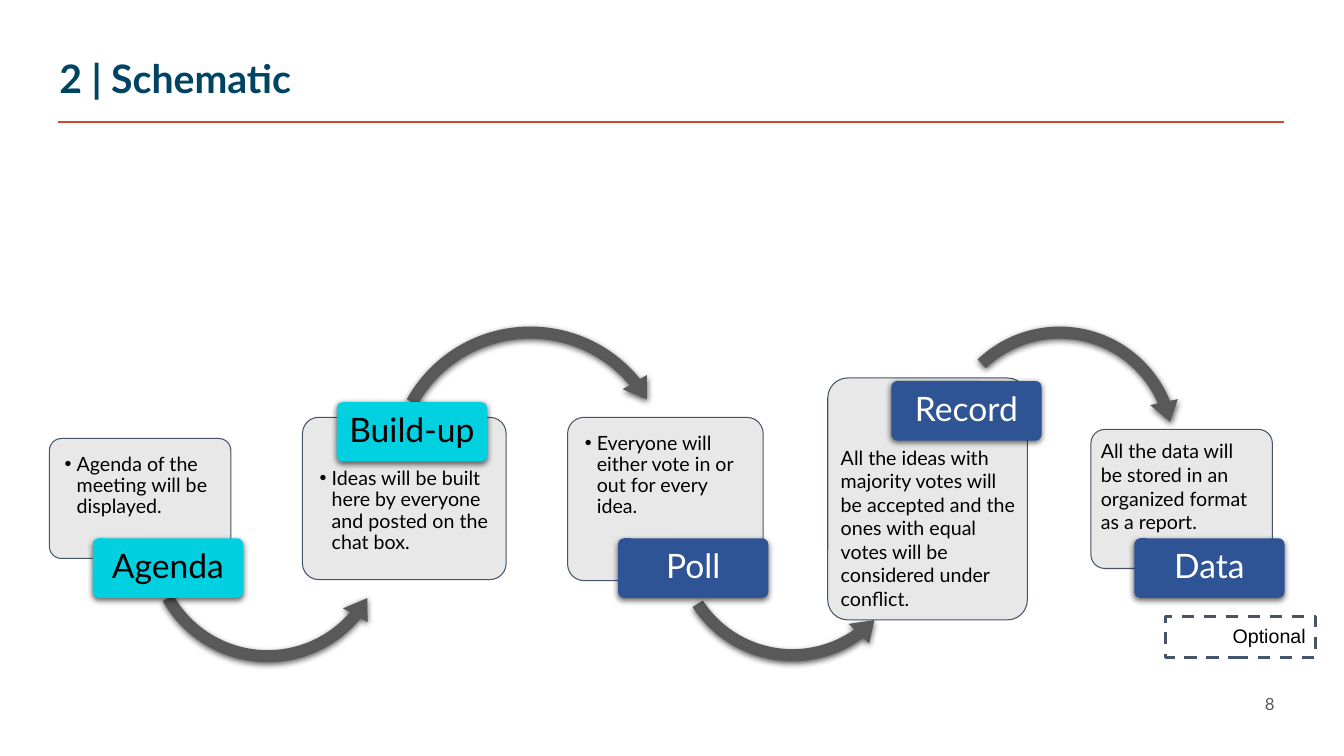
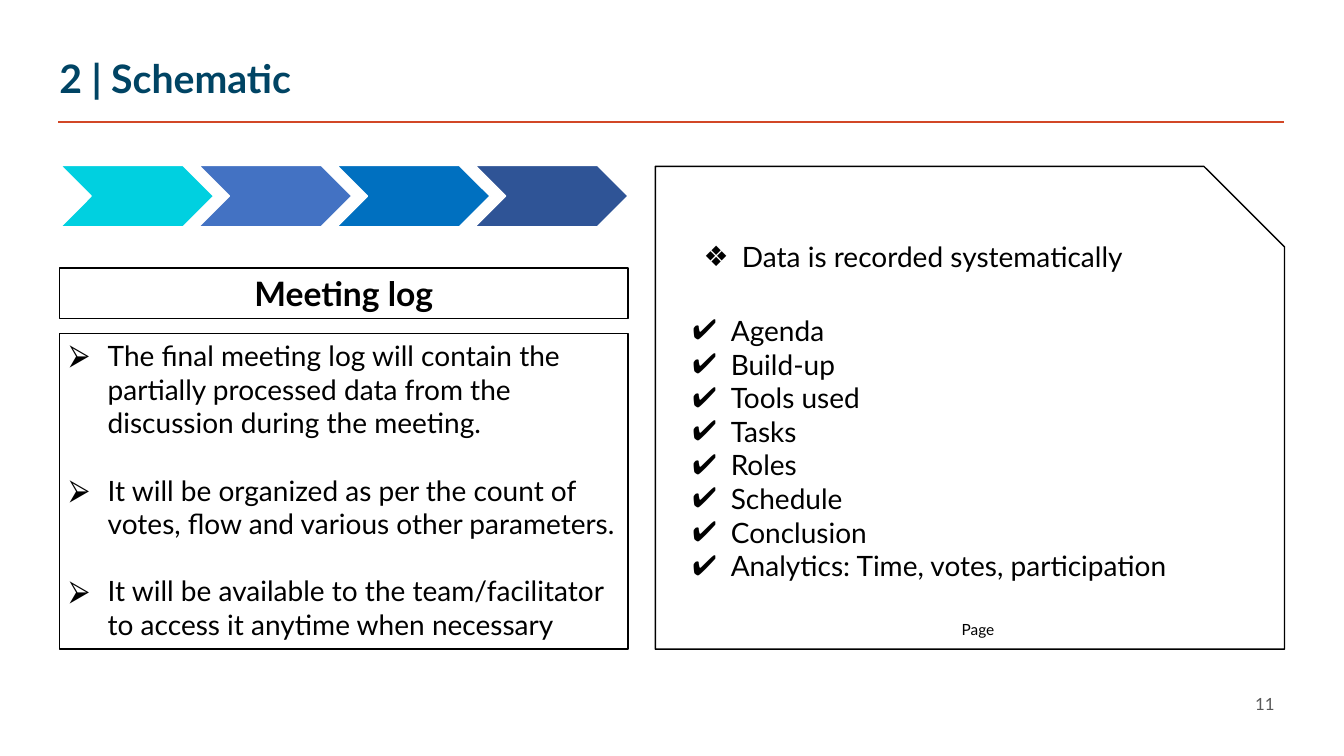
from dataclasses import dataclass

from lxml.etree import SubElement
from pptx import Presentation
from pptx.dml.color import RGBColor
from pptx.enum.dml import MSO_LINE
from pptx.enum.shapes import MSO_CONNECTOR, MSO_SHAPE
from pptx.enum.text import MSO_ANCHOR, PP_ALIGN
from pptx.oxml.ns import qn
from pptx.util import Inches, Pt


@dataclass(frozen=True)
class Theme:
    """Hold the colours, fonts and type sizes of the deck."""
    font: str = "Lato"
    plain: str = "Arial"
    ink: str = "000000"
    paper: str = "FFFFFF"
    title: str = "004464"
    rule: str = "D24726"
    muted: str = "595959"
    card: str = "E7E6E6"
    edge: str = "44546A"
    cyan: str = "00D0E0"
    sky: str = "4372C3"
    blue: str = "0070C0"
    navy: str = "2F5496"
    head: int = 28
    label: int = 24
    body: int = 20
    note: int = 14
    foot: int = 12
    small: int = 11


T = Theme()
LEFT, CENTER, RIGHT = PP_ALIGN.LEFT, PP_ALIGN.CENTER, PP_ALIGN.RIGHT
TOP, MID, LOW = MSO_ANCHOR.TOP, MSO_ANCHOR.MIDDLE, MSO_ANCHOR.BOTTOM
OVER, UNDER = MSO_SHAPE.CIRCULAR_ARROW, MSO_SHAPE.LEFT_CIRCULAR_ARROW


def rgb(code):
    """Turn a hex code into a colour."""
    return RGBColor.from_string(code)


def paint(shape, fill=None, line=None, width=1):
    """Set fill and line and drop the shadow."""
    shape.shadow.inherit = False
    if fill:
        shape.fill.solid()
        shape.fill.fore_color.rgb = rgb(fill)
    else:
        shape.fill.background()
    if line:
        shape.line.color.rgb = rgb(line)
        shape.line.width = Pt(width)
    else:
        shape.line.fill.background()


def form(slide, kind, box, fill=None, line=None, width=1, adj=()):
    """Add a preset shape."""
    shape = slide.shapes.add_shape(kind, *map(Inches, box))
    paint(shape, fill, line, width)
    for rank, value in enumerate(adj):
        shape.adjustments[rank] = value
    return shape


def shade(shape):
    """Cast a soft shadow below a shape."""
    effects = shape.element.spPr.find(qn("a:effectLst"))
    outer = SubElement(effects, qn("a:outerShdw"), blurRad=str(Pt(4.5)),
                       dist=str(Pt(1.5)), dir="5400000", rotWithShape="0")
    color = SubElement(outer, qn("a:srgbClr"), val=T.ink)
    SubElement(color, qn("a:alpha"), val="63000")


def mark(para, sign, indent):
    """Give a paragraph a hanging bullet."""
    props = para._p.get_or_add_pPr()
    props.set("marL", str(Inches(indent)))
    props.set("indent", str(-Inches(indent)))
    SubElement(SubElement(props, qn("a:buClr")), qn("a:srgbClr"), val=T.ink)
    SubElement(props, qn("a:buFont"), typeface=T.plain)
    SubElement(props, qn("a:buChar"), char=sign)


def write(shape, lines, size, color=T.ink, bold=False, align=LEFT, anchor=TOP,
          pad=(0.1, 0.05), lead=None, gap=0, bullet=None, font=T.font):
    """Fill a shape with styled paragraphs."""
    frame = shape.text_frame
    frame.word_wrap = True
    frame.vertical_anchor = anchor
    frame.margin_left = frame.margin_right = Inches(pad[0])
    frame.margin_top = frame.margin_bottom = Inches(pad[1])
    frame.text = "\n".join(lines)
    for rank, para in enumerate(frame.paragraphs):
        if bullet:
            mark(para, *bullet)
        para.alignment = align
        if lead:
            para.line_spacing = lead
        if rank and gap:
            para.space_before = Pt(gap)
        for run in para.runs:
            run.font.name = font
            run.font.size = Pt(size)
            run.font.bold = bold
            run.font.color.rgb = rgb(color)


def label(slide, box, *args, **style):
    """Add a text box."""
    write(slide.shapes.add_textbox(*map(Inches, box)), *args, **style)


def start(deck, title, page):
    """Add a slide with title, rule and page number."""
    slide = deck.slides.add_slide(deck.slide_layouts[6])
    ends = map(Inches, (0.58, 1.21, 12.74, 1.21))
    rule = slide.shapes.add_connector(MSO_CONNECTOR.STRAIGHT, *ends)
    rule.line.color.rgb = rgb(T.rule)
    rule.line.width = Pt(2)
    SubElement(rule.element.spPr, qn("a:effectLst"))
    label(slide, (0.49, 0.45, 10, 0.7), [title], T.head, T.title,
          bold=True, anchor=MID, lead=0.9)
    label(slide, (12.26, 6.78, 0.48, 0.4), [page], T.foot, T.muted,
          align=RIGHT, anchor=MID)
    return slide


def arrow(slide, kind, x, y, size, first, last, head, turn=0):
    """Add an arc arrow whose angles run clockwise from the right."""
    band, wing = 0.12 / size, 0.14 / size
    angles = [0.6 * angle for angle in (head, (last - turn) % 360, (first - turn) % 360)]
    shape = form(slide, kind, (x, y, size, size), T.muted, adj=(band, *angles, wing))
    shape.rotation = turn
    shade(shape)


def card(slide, box):
    """Add a slightly clear rounded card."""
    shape = form(slide, MSO_SHAPE.ROUNDED_RECTANGLE, box, T.card, T.edge, 0.75, [0.1])
    color = shape.element.spPr.find(qn("a:solidFill")).find(qn("a:srgbClr"))
    SubElement(color, qn("a:alpha"), val="90000")


def tag(slide, x, y, name, fill, color):
    """Add the name plate of a step."""
    shape = form(slide, MSO_SHAPE.ROUNDED_RECTANGLE, (x, y, 1.49, 0.59), fill, adj=[0.1])
    shade(shape)
    write(shape, [name], T.label, color, align=CENTER, anchor=MID,
          pad=(0.05, 0.03), lead=0.9)


def flow(deck):
    """Build the slide with the five steps."""
    slide = start(deck, "2 | Schematic", "8")
    dot = dict(pad=(0.13, 0.13), lead=0.9, bullet=("•", 0.12))
    cyan, navy = (T.cyan, T.ink), (T.navy, T.paper)
    steps = [
        ("Agenda", "Agenda of the meeting will be displayed.",
         (0.49, 4.35, 1.8, 1.19), (0.51, 4.38, 1.75, 0.88), dot,
         (UNDER, 1.38, 4.1, 2.55, 150.5, 40, 10.5), (0.92, 5.34), cyan),
        ("Build-up", "Ideas will be built here by everyone and posted on the chat box.",
         (3, 4.14, 2.02, 1.61), (3.04, 4.52, 1.95, 1.19), dot,
         (OVER, 3.78, 3.16, 2.96, 209, 320.7, 9), (3.34, 3.99), cyan),
        ("Poll", "Everyone will either vote in or out for every idea.",
         (5.63, 4.14, 1.94, 1.62), (5.67, 4.17, 1.87, 1.2), dot,
         (UNDER, 6.6, 4.12, 2.52, 147, 54, 10.5, 13.7), (6.13, 5.34), navy),
        ("Record", "All the ideas with majority votes will be accepted and the ones "
         "with equal votes will be considered under conflict.",
         (8.21, 3.75, 1.98, 2.4), (8.24, 4.37, 1.99, 1.75), {},
         (OVER, 9.25, 3.16, 2.52, 226.4, 337.4, 10.5, 11.4), (8.84, 3.78), navy),
        ("Data", "All the data will be stored in an organized format as a report.",
         (10.82, 4.26, 1.8, 1.38), (10.82, 4.31, 1.76, 1.04), {},
         None, (11.25, 5.34), navy),
    ]
    for name, text, box, area, style, arc, place, tone in steps:
        card(slide, box)
        label(slide, area, [text], T.note, **style)
        if arc:
            arrow(slide, *arc)
        tag(slide, *place, name, *tone)
    extra = form(slide, MSO_SHAPE.RECTANGLE, (11.56, 6.12, 1.49, 0.4),
                 line=T.edge, width=2.25)
    extra.line.dash_style = MSO_LINE.DASH
    write(extra, ["Optional"], T.note, align=RIGHT, anchor=LOW,
          pad=(0.1, 0.1), font=T.plain)


def log(deck):
    """Build the slide on the meeting log."""
    slide = start(deck, "2 | Schematic", "11")
    form(slide, MSO_SHAPE.SNIP_1_RECTANGLE, (6.5, 1.65, 6.24, 4.79),
         T.paper, T.ink, adj=[0.167])
    for rank, fill in enumerate((T.cyan, T.sky, T.blue, T.navy)):
        form(slide, MSO_SHAPE.CHEVRON, (0.6 + 1.37 * rank, 1.64, 1.52, 0.61),
             fill, T.paper, adj=[0.5])
    aims = ["The final meeting log will contain the partially processed data "
            "from the discussion during the meeting.",
            "It will be organized as per the count of votes, flow and various "
            "other parameters.",
            "It will be available to the team/facilitator to access it anytime "
            "when necessary"]
    parts = ["Agenda", "Build-up", "Tools used", "Tasks", "Roles", "Schedule",
             "Conclusion", "Analytics: Time, votes, participation"]
    panels = [
        (0.59, 3.31, 3.13, T.ink, aims, T.body, dict(gap=24, bullet=("⮚", 0.38))),
        (0.59, 2.66, 0.5, T.ink, ["Meeting log"], T.label,
         dict(bold=True, align=CENTER)),
        (6.77, 3.06, 2.79, None, parts, T.body, dict(bullet=("✔", 0.38))),
        (6.88, 2.33, 0.44, None, ["Data is recorded systematically"], T.body,
         dict(bullet=("❖", 0.38))),
        (6.88, 6.1, 0.29, None, ["Page"], T.small, dict(align=CENTER)),
    ]
    for x, y, height, line, lines, size, style in panels:
        panel = form(slide, MSO_SHAPE.RECTANGLE, (x, y, 5.64, height), T.paper, line)
        write(panel, lines, size, **style)


def main():
    """Build and save the deck."""
    deck = Presentation()
    deck.slide_width, deck.slide_height = Inches(13.33), Inches(7.5)
    flow(deck)
    log(deck)
    deck.save("out.pptx")


if __name__ == "__main__":
    main()
